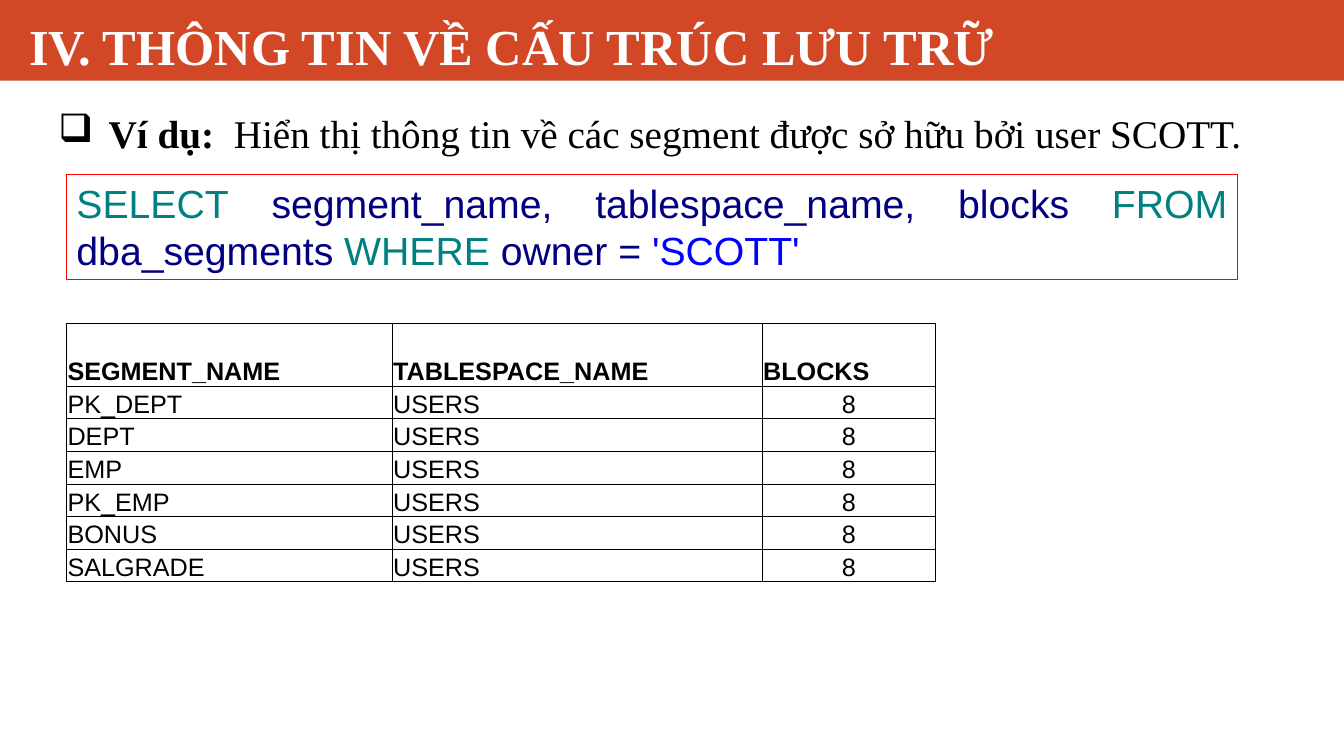
from lxml import etree
from pptx import Presentation
from pptx.dml.color import RGBColor
from pptx.enum import shapes, text
from pptx.oxml import ns
from pptx.util import Inches, Pt

COLORS = {
    "banner": "D24726", "white": "FFFFFF", "black": "000000", "frame": "FF0000",
    "keyword": "008080", "code": "000080", "literal": "0000FF",
}
SERIF, SANS = "Times New Roman", "Arial"

QUERY = [
    ("SELECT", "keyword"), (" segment_name, tablespace_name, blocks ", "code"),
    ("FROM", "keyword"), (" dba_segments ", "code"),
    ("WHERE", "keyword"), (" owner = ", "code"), ("'SCOTT'", "literal"),
]
HEADINGS = ["SEGMENT_NAME", "TABLESPACE_NAME", "BLOCKS"]
SEGMENTS = ["PK_DEPT", "DEPT", "EMP", "PK_EMP", "BONUS", "SALGRADE"]


def rgb(name):
    return RGBColor.from_string(COLORS[name])


def add_run(paragraph, words, size, font, color="black", bold=False):
    run = paragraph.add_run()
    run.text = words
    run.font.size, run.font.name, run.font.bold = Pt(size), font, bold
    run.font.color.rgb = rgb(color)


def add_rect(slide, box):
    rect = slide.shapes.add_shape(shapes.MSO_SHAPE.RECTANGLE, *map(Inches, box))
    rect.shadow.inherit = False
    return rect


def add_text_frame(slide, box, anchor):
    frame = slide.shapes.add_textbox(*map(Inches, box)).text_frame
    frame.word_wrap = True
    frame.vertical_anchor = anchor
    return frame


def add_title(slide, box):
    left, top, width, height = box
    banner = add_rect(slide, box)
    banner.fill.solid()
    banner.fill.fore_color.rgb = rgb("banner")
    banner.line.fill.background()
    title = add_text_frame(slide, (left + 0.19, top, width - 0.39, height),
                           text.MSO_ANCHOR.BOTTOM)
    add_run(title.paragraphs[0], "IV. THÔNG TIN VỀ CẤU TRÚC LƯU TRỮ",
            36, SERIF, "white", True)


def add_example(slide, box):
    example = add_text_frame(slide, box, text.MSO_ANCHOR.TOP).paragraphs[0]
    props = example._p.get_or_add_pPr()
    props.set("marL", str(Inches(0.5)))
    props.set("indent", str(-Inches(0.5)))
    etree.SubElement(props, ns.qn("a:buChar"), char="❑")
    add_run(example, "Ví dụ: ", 28, SERIF, bold=True)
    add_run(example, " Hiển thị thông tin về các segment được sở hữu bởi user SCOTT.",
            28, SERIF)


def add_query(slide, box):
    frame = add_rect(slide, box)
    frame.fill.background()
    frame.line.color.rgb = rgb("frame")
    frame.line.width = Pt(0.75)
    frame.text_frame.word_wrap = True
    frame.text_frame.vertical_anchor = text.MSO_ANCHOR.TOP
    query = frame.text_frame.paragraphs[0]
    query.alignment = text.PP_ALIGN.JUSTIFY
    for words, color in QUERY:
        add_run(query, words, 28, SANS, color)


def add_borders(cell):
    """Draw a thin black line on all four sides of a cell."""
    props = cell._tc.get_or_add_tcPr()
    for index, side in enumerate(("lnL", "lnR", "lnT", "lnB")):
        line = etree.Element(ns.qn(f"a:{side}"), w=str(Pt(0.5)))
        fill = etree.SubElement(line, ns.qn("a:solidFill"))
        etree.SubElement(fill, ns.qn("a:srgbClr"), val=COLORS["black"])
        props.insert(index, line)


def add_segment_table(slide, box):
    rows = [HEADINGS] + [[segment, "USERS", "8"] for segment in SEGMENTS]
    table = slide.shapes.add_table(len(rows), len(HEADINGS), *map(Inches, box)).table
    for column, width in zip(table.columns, (3.23, 3.67, 1.72)):
        column.width = Inches(width)
    for r, values in enumerate(rows):
        is_heading = r == 0
        table.rows[r].height = Inches(0.62 if is_heading else 0.324)
        for c, value in enumerate(values):
            cell = table.cell(r, c)
            cell.fill.background()
            cell.vertical_anchor = text.MSO_ANCHOR.BOTTOM
            cell.margin_left = cell.margin_right = cell.margin_top = Inches(0.01)
            cell.margin_bottom = 0
            add_borders(cell)
            paragraph = cell.text_frame.paragraphs[0]
            if c == 2 and not is_heading:
                paragraph.alignment = text.PP_ALIGN.CENTER
            add_run(paragraph, value, 18, SANS, bold=is_heading)


def main():
    deck = Presentation()
    deck.slide_width, deck.slide_height = Inches(13.33), Inches(7.5)
    slide = deck.slides.add_slide(deck.slide_layouts[6])
    add_title(slide, (0, 0, 13.33, 0.8))
    add_example(slide, (0.48, 1.04, 12.3, 1.04))
    add_query(slide, (0.66, 1.73, 11.61, 1.04))
    add_segment_table(slide, (0.66, 3.21, 8.62, 2.56))
    deck.save("out.pptx")


if __name__ == "__main__":
    main()
